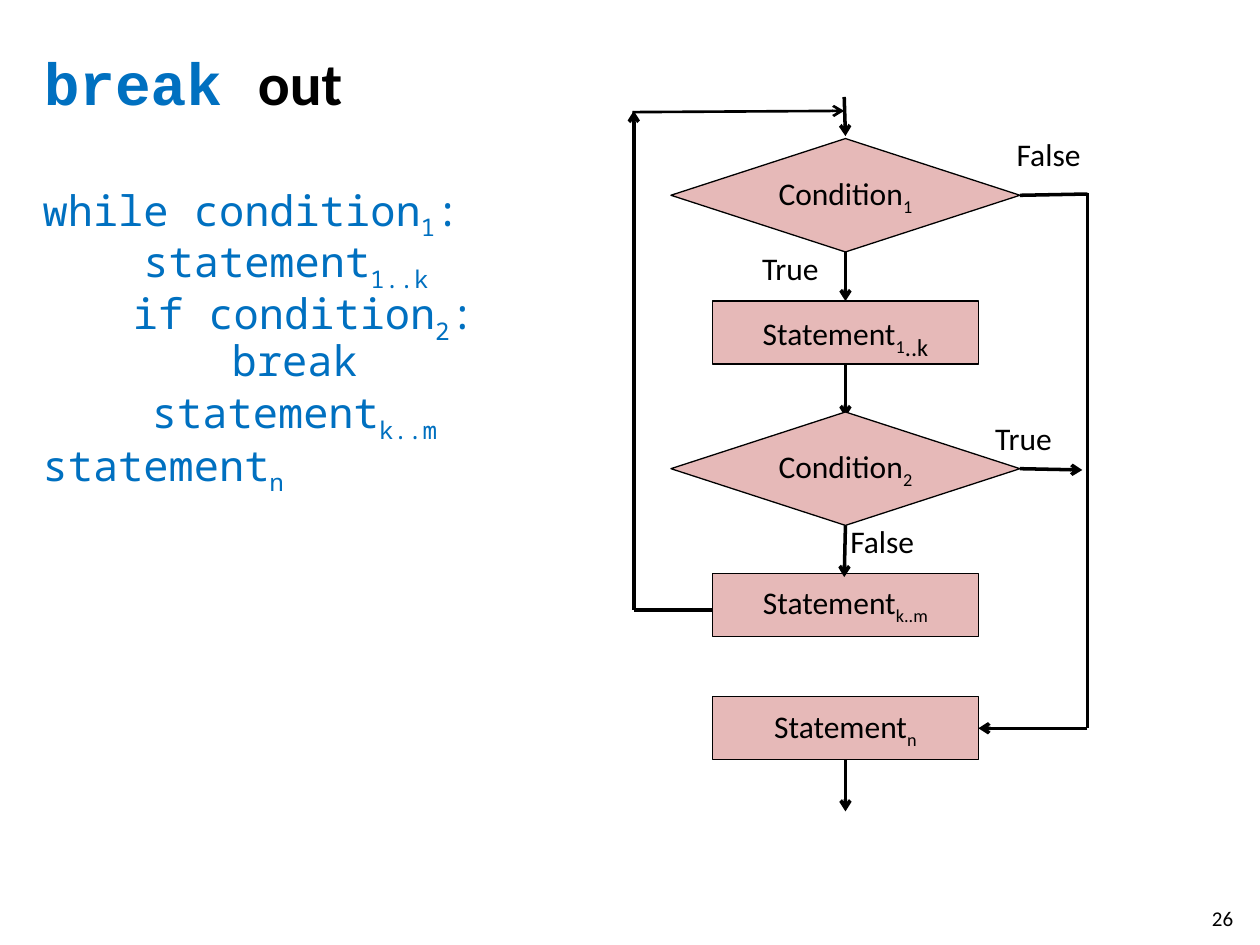
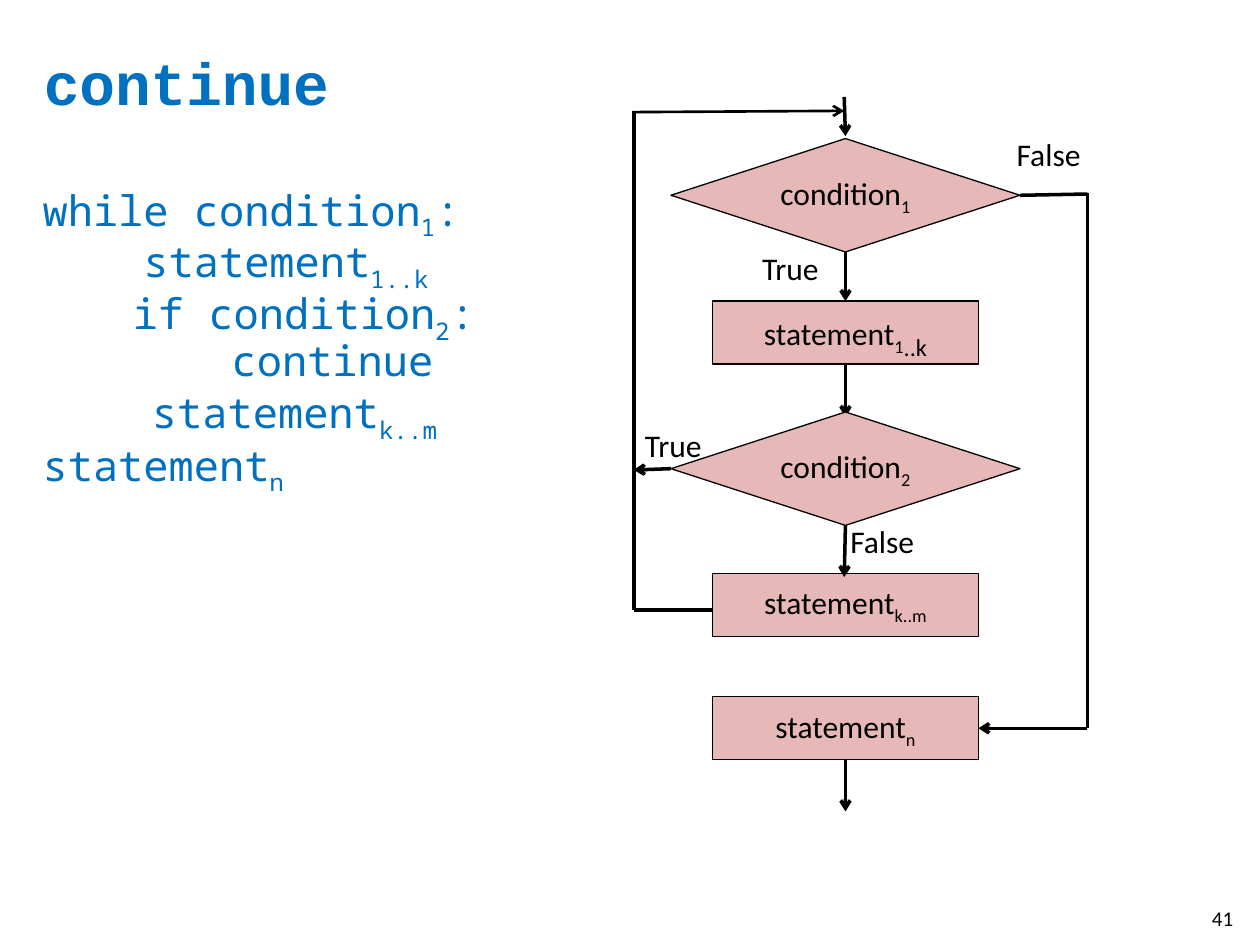
import pptx
import pptx.util
import pptx.dml.color
import pptx.enum.shapes
import pptx.enum.text
import pptx.oxml
import pptx.oxml.ns

RGB = pptx.dml.color.RGBColor
SHAPE = pptx.enum.shapes.MSO_SHAPE
ANCHOR = pptx.enum.text.MSO_ANCHOR
ALIGN = pptx.enum.text.PP_ALIGN

BLUE = RGB(0x00, 0x70, 0xC0)
PINK = RGB(0xE6, 0xB9, 0xB8)
BLACK = RGB(0, 0, 0)
WHITE = RGB(255, 255, 255)

# The slide is a grid of 100 columns by 75 rows
WIDTH, HEIGHT = pptx.util.Inches(10), pptx.util.Inches(7.5)
COL, ROW = WIDTH / 100, HEIGHT / 75

# Flowchart lanes, in columns
MID, BACK, EXIT = 67.1, 50.3, 86.3
BOX = (SHAPE.RECTANGLE, 21.1, 5)
TEST = (SHAPE.FLOWCHART_DECISION, 27.7, 9)
TOP, LEFT, FOOT, RIGHT = range(4)

# Text formats
CODE = {"size": 24, "name": "Noto Sans Mono", "color": BLUE}
HEAD = {"size": 34, "name": "Courier New", "color": BLUE, "bold": True}
BODY = {"size": 18, "name": "Calibri", "color": BLACK}
PAGE = BODY | {"size": 12}
WORD = HEAD | {"name": "Calibri", "color": BLACK}


def place(left, top, width, height):
    return [round(n) for n in (left * COL, top * ROW, width * COL, height * ROW)]


def add_run(para, text, form, sub=False):
    run = para.add_run()
    run.text = text
    for key, value in form.items():
        if key == "color":
            run.font.color.rgb = value
        elif key == "size":
            run.font.size = pptx.util.Pt(value)
        else:
            setattr(run.font, key, value)
    if sub:
        run._r.get_or_add_rPr().set("baseline", "-25000")


def write(para, text, form):
    """Every second piece between underscores is a subscript."""
    for i, piece in enumerate(text.split("_")):
        if piece:
            add_run(para, piece, form, i % 2 == 1)


def add_text(slide, area, anchor=ANCHOR.TOP):
    frame = slide.shapes.add_textbox(*place(*area)).text_frame
    frame.word_wrap = True
    frame.vertical_anchor = anchor
    return frame


def add_label(slide, left, top, text):
    write(add_text(slide, (left, top, 8.1, 4)).paragraphs[0], text, BODY)


def add_block(slide, kind, top, text, big=""):
    """Place a flowchart block on the middle lane."""
    form, width, height = kind
    block = slide.shapes.add_shape(
        form, *place(MID - width / 2, top, width, height))
    block.shadow.inherit = False
    block.fill.solid()
    block.fill.fore_color.rgb = PINK
    block.line.color.rgb = BLACK
    block.line.width = pptx.util.Pt(0.75)
    frame = block.text_frame
    frame.vertical_anchor = ANCHOR.MIDDLE
    para = frame.paragraphs[0]
    para.alignment = ALIGN.CENTER
    write(para, text, BODY)
    if big:
        add_run(para, big, BODY | {"size": 24}, True)
    return block


def add_wire(slide, start, end, arrow=True, weight=2):
    """Each end is a grid point or a (block, side) pair."""
    ends = [(0, 0) if hasattr(e[0], "shape_type") else e for e in (start, end)]
    spots = [round(n) for x, y in ends for n in (x * COL, y * ROW)]
    wire = slide.shapes.add_connector(
        pptx.enum.shapes.MSO_CONNECTOR.STRAIGHT, *spots)
    for stop, join in ((start, wire.begin_connect), (end, wire.end_connect)):
        if hasattr(stop[0], "shape_type"):
            join(*stop)
    wire.line.color.rgb = BLACK
    wire.line.width = pptx.util.Pt(weight)
    props = wire._element.spPr
    if arrow:
        line = props.find(pptx.oxml.ns.qn("a:ln"))
        tail = pptx.oxml.parse_xml(
            '<a:tailEnd %s type="arrow"/>' % pptx.oxml.ns.nsdecls("a"))
        line.append(tail)
    props.append(pptx.oxml.parse_xml(
        "<a:effectLst %s/>" % pptx.oxml.ns.nsdecls("a")))


def add_title(slide, code, word):
    para = add_text(slide, (2.5, 3, 86.7, 7), ANCHOR.MIDDLE).paragraphs[0]
    add_run(para, code, HEAD)
    if word:
        add_run(para, word, WORD)


def add_code(slide, jump):
    """Rows hold the indent in columns, the wide lead and the text."""
    rows = [
        (0, "", "while condition_1_:"),
        (0, "", "    statement_1..k"),
        (0, "", "_ _   if condition_2_:"),
        (5, "", "     " + jump),
        (0, "    ", "statement_k..m"),
        (0, "", "statement_n"),
    ]
    frame = add_text(slide, (2.4, 14.2, 95, 49.3))
    for i, (indent, lead, text) in enumerate(rows):
        para = frame.add_paragraph() if i else frame.paragraphs[0]
        para.line_spacing = 0.9
        if indent:
            para._p.get_or_add_pPr().set("marL", str(round(indent * COL)))
        if lead:
            add_run(para, lead, CODE | {"size": 26})
        write(para, text, CODE)


def add_chart(slide, test, step, leave):
    """Draw the loop; leave tells whether the jump goes out or back."""
    # Blocks and the wires between them
    one = add_block(slide, TEST, 11, test + "_1")
    first = add_block(slide, BOX, 23.9, step + "_1", "..k")
    add_wire(slide, (67, 7.7), (MID, 10.8))
    add_wire(slide, (one, FOOT), (first, TOP))
    add_wire(slide, (first, FOOT), (MID, 33.1))
    two = add_block(slide, TEST, 32.7, test + "_2")
    rest = add_block(slide, BOX, 45.5, step + "_k..m")
    add_wire(slide, (two, FOOT), (67, 45.8))
    last = add_block(slide, BOX, 55.3, step + "_n")
    add_wire(slide, (last, FOOT), (MID, 64.4))

    # Way back to the top
    add_wire(slide, (56.6, 48.4), (BACK, 48.4), False)
    add_wire(slide, (BACK, 48.4), (BACK, 8.8), leave)
    add_wire(slide, (50.2, 8.9), (67, 8.8), weight=1.5)

    # Way out of the loop
    add_wire(slide, (one, RIGHT), (EXIT, 15.4), False)
    add_wire(slide, (EXIT, 15.3), (EXIT, 57.8), False)
    add_wire(slide, (EXIT, 57.8), (last, RIGHT))

    # Jump and labels
    if leave:
        add_wire(slide, (two, RIGHT), (85.9, 37.3))
    else:
        add_wire(slide, (two, LEFT), (BACK, 37.3))
    jump = (78, 32.8) if leave else (50.2, 33.3)
    for spot, text in (((59.5, 19.3), "True"), ((79.7, 10.2), "False"),
                       (jump, "True"), ((66.5, 40.9), "False")):
        add_label(slide, *spot, text)


def add_slide(deck, title, jump, names, leave, page):
    slide = deck.slides.add_slide(deck.slide_layouts[6])
    slide.background.fill.solid()
    slide.background.fill.fore_color.rgb = WHITE
    add_code(slide, jump)
    add_title(slide, *title)
    write(add_text(slide, (95.2, 71.4, 4, 2.4)).paragraphs[0], page, PAGE)
    add_chart(slide, *names, leave)


def main():
    deck = pptx.Presentation()
    deck.slide_width, deck.slide_height = WIDTH, HEIGHT
    add_slide(deck, ("break ", "out"), "break",
              ("Condition", "Statement"), True, "26")
    add_slide(deck, ("continue", ""), "continue",
              ("condition", "statement"), False, "41")
    deck.save("out.pptx")


if __name__ == "__main__":
    main()
